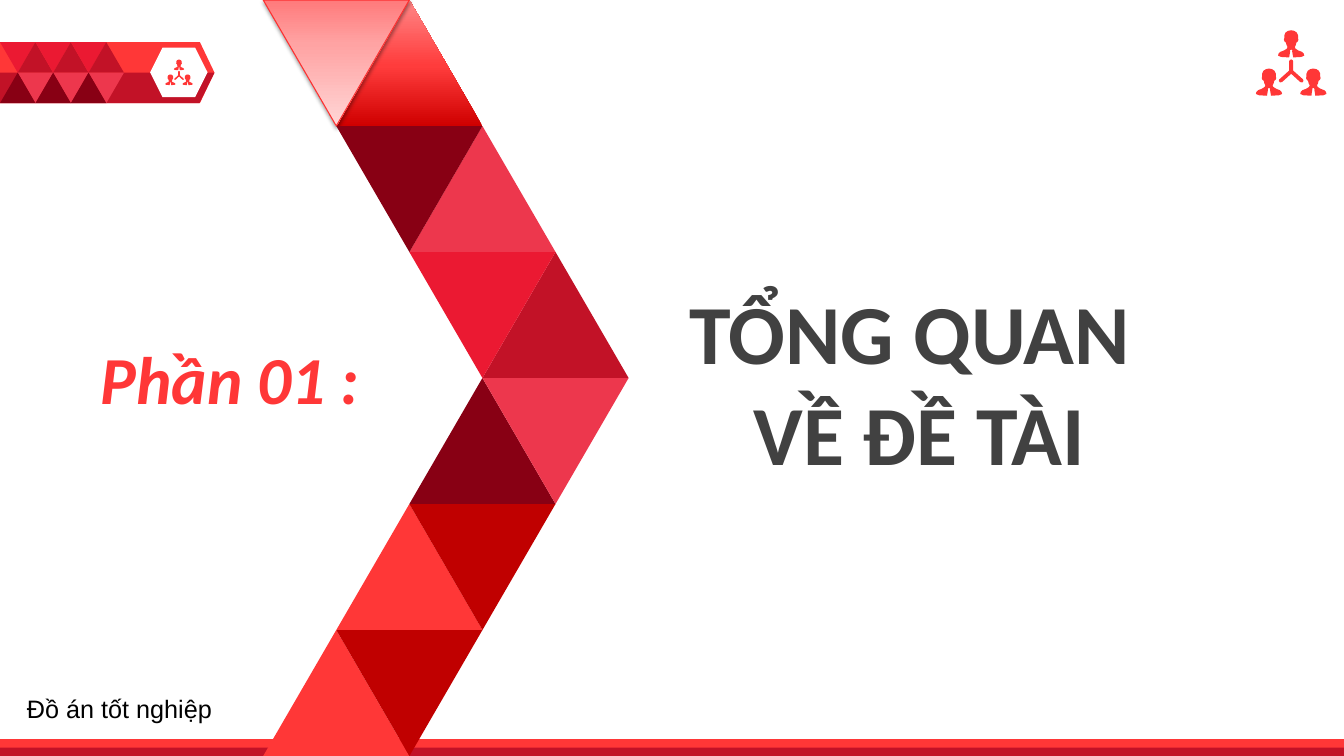
from lxml.etree import SubElement
from pptx import Presentation
from pptx.dml.color import RGBColor
from pptx.enum.shapes import MSO_SHAPE
from pptx.enum.text import MSO_ANCHOR, MSO_AUTO_SIZE, PP_ALIGN
from pptx.oxml.ns import qn
from pptx.util import Pt

WHITE = RGBColor(0xFF, 0xFF, 0xFF)
BLACK = RGBColor(0x00, 0x00, 0x00)
CHARCOAL = RGBColor(0x41, 0x41, 0x41)
CORAL = RGBColor(0xFF, 0x37, 0x37)
SCARLET = RGBColor(0xEB, 0x19, 0x32)
ROSE = RGBColor(0xED, 0x37, 0x4D)
CRIMSON = RGBColor(0xC2, 0x12, 0x27)
RED = RGBColor(0xC0, 0x00, 0x00)
MAROON = RGBColor(0x88, 0x00, 0x14)
EDGE = RGBColor(0xFD, 0x30, 0x30)
DEEP_BLEND = [(0, RGBColor(0xCF, 0x00, 0x00)), (48, RGBColor(0xFF, 0x3C, 0x3C)),
              (100, RGBColor(0xFF, 0x87, 0x87))]
PALE_BLEND = [(0, RGBColor(0xFF, 0x7A, 0x7B)), (35, RGBColor(0xFF, 0xA3, 0xA3)),
              (100, RGBColor(0xFF, 0xD6, 0xD6))]

# Right halves of the icon's outlines, in thousandths of an inch
PERSON = [(0, 0), (30, 6), (55, 22), (68, 50), (68, 78), (72, 95), (65, 112), (52, 122),
          (46, 148), (36, 165), (42, 182), (70, 200), (108, 215), (125, 232), (130, 252),
          (100, 265), (20, 270), (10, 210), (13, 202), (0, 190)]
BRANCHES = [(0, 290), (14, 296), (20, 310), (20, 400), (118, 488), (122, 502),
            (112, 518), (90, 514), (0, 432)]
PEOPLE = [(0, 0), (-220, 380), (220, 380)]


class SlidePainter:
    def __init__(self, slide):
        self.slide = slide
        self.shapes = slide.shapes

    def finish(self, shape, fill):
        shape.shadow.inherit = False
        shape.line.fill.background()
        if isinstance(fill, list):
            self.blend(shape, fill)
        else:
            shape.fill.solid()
            shape.fill.fore_color.rgb = fill
        return shape

    def blend(self, shape, stops):
        shape.fill.gradient()
        shape.fill.gradient_angle = 90
        stop_list = shape._element.spPr.find(qn("a:gradFill")).find(qn("a:gsLst"))
        stop_list.clear()
        for percent, color in stops:
            stop = SubElement(stop_list, qn("a:gs"), pos=str(percent * 1000))
            SubElement(stop, qn("a:srgbClr"), val=str(color))

    def preset(self, kind, left, top, width, height, fill):
        shape = self.shapes.add_shape(kind, Pt(left), Pt(top), Pt(width), Pt(height))
        return self.finish(shape, fill)

    def triangle(self, left, top, width, height, fill, down=False):
        shape = self.preset(MSO_SHAPE.ISOSCELES_TRIANGLE, left, top, width, height, fill)
        shape.rotation = 180 if down else 0
        return shape

    def outline(self, contours, left, top, unit, fill):
        """Draw closed contours; unit is the length of one step in points."""
        builder = self.shapes.build_freeform(*contours[0][0], scale=Pt(1) * unit)
        for number, contour in enumerate(contours):
            if number:
                builder.move_to(*contour[0])
            builder.add_line_segments(contour[1:], close=True)
        return self.finish(builder.convert_to_shape(Pt(left), Pt(top)), fill)

    def team_icon(self, center, top, unit):
        contours = [mirrored(BRANCHES)]
        for dx, dy in PEOPLE:
            contours.append([(x + dx, y + dy) for x, y in mirrored(PERSON)])
        self.outline(contours, center, top, unit, CORAL)

    def glow_edge(self, shape):
        """Give the shape a thin red edge and a soft shadow below."""
        shape.line.color.rgb = EDGE
        shape.line.width = Pt(0.75)
        effects = shape._element.spPr.find(qn("a:effectLst"))
        shadow = SubElement(effects, qn("a:outerShdw"), blurRad=str(Pt(3.1)),
                            dist=str(Pt(1.6)), dir="5400000", rotWithShape="0")
        color = SubElement(shadow, qn("a:srgbClr"), val=str(BLACK))
        SubElement(color, qn("a:alpha"), val="38000")

    def fill_text(self, holder, lines, size, font, color, bold=False, italic=False,
                  align=PP_ALIGN.LEFT):
        frame = holder.text_frame
        frame.word_wrap = True
        frame.auto_size = MSO_AUTO_SIZE.NONE
        frame.vertical_anchor = MSO_ANCHOR.TOP
        frame.text = "\n".join(lines)
        for paragraph in frame.paragraphs:
            paragraph.alignment = align
            style = paragraph.font
            style.name, style.size = font, Pt(size)
            style.bold, style.italic = bold, italic
            style.color.rgb = color

    def text(self, left, top, width, height, line, *style, **emphasis):
        box = self.shapes.add_textbox(Pt(left), Pt(top), Pt(width), Pt(height))
        self.fill_text(box, [line], *style, **emphasis)

    def title(self, left, top, width, height, lines, *style, **emphasis):
        holder = self.shapes.title
        holder.left, holder.top = Pt(left), Pt(top)
        holder.width, holder.height = Pt(width), Pt(height)
        self.fill_text(holder, lines, *style, **emphasis)


def mirrored(half):
    return half + [(-x, y) for x, y in reversed(half) if x]


def draw_header(painter):
    top, middle, height = 30.1, 51.9, 21.8
    banner = painter.preset(MSO_SHAPE.PENTAGON, 0, top, 153.2, 2 * height, CORAL)
    banner.adjustments[0] = 0.239
    lower_half = [(0, 0), (1532, 0), (1424, 218), (0, 218)]
    painter.outline([lower_half], 0, middle, 0.1, CRIMSON)
    painter.preset(MSO_SHAPE.HEXAGON, 107.3, 34, 41, 35.4, WHITE)
    painter.team_icon(127.9, 42.6, 0.028)
    side = 25.3
    for column in range(3):
        left = column * side
        painter.triangle(left, top, side, height, SCARLET, down=True)
        painter.triangle(left + side / 2, top, side, height, CRIMSON)
        painter.triangle(left + side / 2, middle, side, height, ROSE, down=True)
        painter.triangle(left, middle, side, height, MAROON)


def draw_chevron(painter):
    # Each row: step and fill of the upright triangle, then of the inverted one
    rows = [(1, DEEP_BLEND, 0, PALE_BLEND), (2, ROSE, 1, MAROON), (3, CRIMSON, 2, SCARLET),
            (2, MAROON, 3, ROSE), (1, CORAL, 2, RED), (0, CORAL, 1, RED)]
    left, step, height = 188, 52.2, 90
    for row, (up_step, up_fill, down_step, down_fill) in enumerate(rows):
        top = row * height
        painter.triangle(left + up_step * step, top, 2 * step, height, up_fill)
        inverted = painter.triangle(left + down_step * step, top, 2 * step, height,
                                    down_fill, down=True)
        if row == 0:
            painter.glow_edge(inverted)


def main():
    deck = Presentation()
    deck.slide_width, deck.slide_height = Pt(960), Pt(540)
    painter = SlidePainter(deck.slides.add_slide(deck.slide_layouts[5]))
    draw_header(painter)
    painter.preset(MSO_SHAPE.RECTANGLE, 0, 528, 960, 12, CORAL)
    painter.preset(MSO_SHAPE.RECTANGLE, 0, 534, 960, 6, CRIMSON)
    draw_chevron(painter)
    painter.text(64.8, 237.6, 296.6, 64.8, "Phần 01 :", 48, "Calibri", CORAL,
                 bold=True, italic=True)
    painter.title(462.2, 196.6, 388.8, 152.6, ["TỔNG QUAN ", "VỀ ĐỀ TÀI"], 60, "Calibri",
                  CHARCOAL, bold=True, align=PP_ALIGN.CENTER)
    painter.team_icon(922.3, 21.6, 0.072)
    painter.text(12.2, 491.8, 203.8, 28.8, "Đồ án tốt nghiệp", 18, "Arial", BLACK)
    deck.save("out.pptx")


if __name__ == "__main__":
    main()
